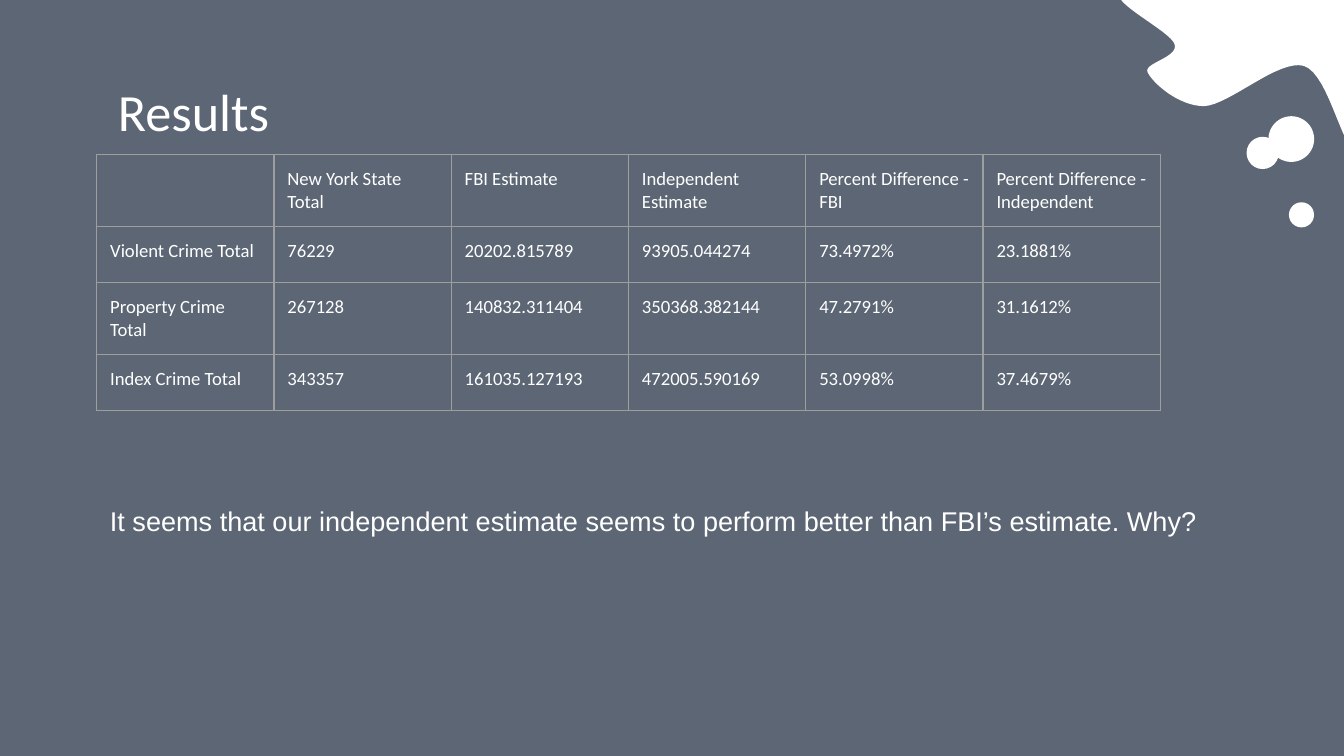
"""Build the crime estimate results slide."""
from dataclasses import dataclass
from lxml.etree import SubElement as Sub
from pptx import Presentation
from pptx.dml.color import RGBColor as RGB
from pptx.enum.shapes import MSO_SHAPE as Kind
from pptx.enum.text import MSO_ANCHOR as Anchor
from pptx.oxml.ns import qn
from pptx.util import Inches, Pt


@dataclass(frozen=True)
class Theme:
    back: str = "5C6674"
    ink: str = "FFFFFF"
    rule: str = "9E9E9E"
    line: float = 0.75
    head: float = 28
    body: float = 14.5
    cell: float = 10
    sans: str = "Calibri"
    note: str = "Arial"


theme = Theme()
deck = Presentation()
deck.slide_width = Inches(10)
deck.slide_height = deck.slide_width * 9 // 16
slide = deck.slides.add_slide(deck.slide_layouts[6])
slide.background.fill.solid()
slide.background.fill.fore_color.rgb = RGB.from_string(theme.back)
unit = deck.slide_width / 100
pad = round(unit)


def grid(*nums):
    return [round(n * unit) for n in nums]


def write(frame, text, size=theme.cell, font=theme.sans, color=theme.ink):
    frame.word_wrap = True
    para = frame.paragraphs[0]
    para.font.size = Pt(size)
    para.font.name = font
    para.font.color.rgb = RGB.from_string(color)
    if text:
        run = para.add_run()
        run.text = text
        run.font.size = Pt(size)
        run.font.name = font
        run.font.color.rgb = RGB.from_string(color)


start = (101.2, 11.2)
curves = [
    ((100, 12.1), (99, 5.5), (97, 4.9)),
    ((95.1, 4.4), (91.5, 7.8), (89.6, 7.9)),
    ((87.7, 7.9), (85.8, 6.2), (85.4, 5.4)),
    ((85, 4.7), (87.7, 4.3), (87.4, 3.3)),
    ((87.1, 2.3), (82.4, 0.1), (83.4, -0.6)),
    ((84.4, -1.4), (89.9, -1), (93.4, -1.1)),
    ((96.9, -1.1), (102.8, -2.8), (104.1, -0.8)),
    ((105.4, 1.2), (102.3, 10.2), (101.2, 11.2)),
]
steps = 16
dots = []
last = start
for one, two, end in curves:
    for step in range(1, steps + 1):
        t = step / steps
        s = 1 - t
        mix = (s**3, 3 * s * s * t, 3 * s * t * t, t**3)
        spots = (last, one, two, end)
        dots.append(grid(*(sum(m * p[a] for m, p in zip(mix, spots)) for a in (0, 1))))
    last = end
pen = slide.shapes.build_freeform(*grid(*start))
pen.add_line_segments(dots, close=True)
drops = [pen.convert_to_shape()]
for left, top, size in [(94.38, 8.65, 3.4), (92.75, 10.18, 2.4), (95.9, 15.05, 1.87)]:
    drops.append(slide.shapes.add_shape(Kind.OVAL, *grid(left, top, size, size)))
for drop in drops:
    drop.shadow.inherit = False
    drop.fill.solid()
    drop.fill.fore_color.rgb = RGB.from_string(theme.ink)
    drop.line.fill.background()

texts = [
    ((7.8, 4.9, 84.4, 6.3), "Results", theme.head, theme.sans),
    ((7.2, 36.55, 84.4, 8.4),
     "It seems that our independent estimate seems to perform better than FBI’s estimate. Why?",
     theme.body, theme.note),
]
for area, text, size, font in texts:
    frame = slide.shapes.add_textbox(*grid(*area)).text_frame
    frame.margin_left = frame.margin_right = frame.margin_top = frame.margin_bottom = pad
    frame.vertical_anchor = Anchor.TOP
    write(frame, text, size=size, font=font)

data = [
    ("", "New York State Total", "FBI Estimate", "Independent Estimate",
     "Percent Difference - FBI", "Percent Difference - Independent"),
    ("Violent Crime Total", "76229", "20202.815789", "93905.044274", "73.4972%", "23.1881%"),
    ("Property Crime Total", "267128", "140832.311404", "350368.382144", "47.2791%", "31.1612%"),
    ("Index Crime Total", "343357", "161035.127193", "472005.590169", "53.0998%", "37.4679%"),
]
wide, tall = 13.19, 4.17
area = grid(7.2, 11.5, wide * len(data[0]), tall * len(data))
table = slide.shapes.add_table(len(data), len(data[0]), *area).table
table.first_row = table.horz_banding = False
for col in table.columns:
    col.width = round(wide * unit)
for row, words in zip(table.rows, data):
    row.height = round(tall * unit)
    for cell, text in zip(row.cells, words):
        cell.margin_left = cell.margin_right = cell.margin_top = cell.margin_bottom = pad
        write(cell.text_frame, text)
        props = cell._tc.get_or_add_tcPr()
        for side in ("lnL", "lnR", "lnT", "lnB"):
            edge = Sub(props, qn(f"a:{side}"), w=str(Pt(theme.line)))
            Sub(Sub(edge, qn("a:solidFill")), qn("a:srgbClr"), val=theme.rule)
        cell.fill.background()

deck.save("out.pptx")
